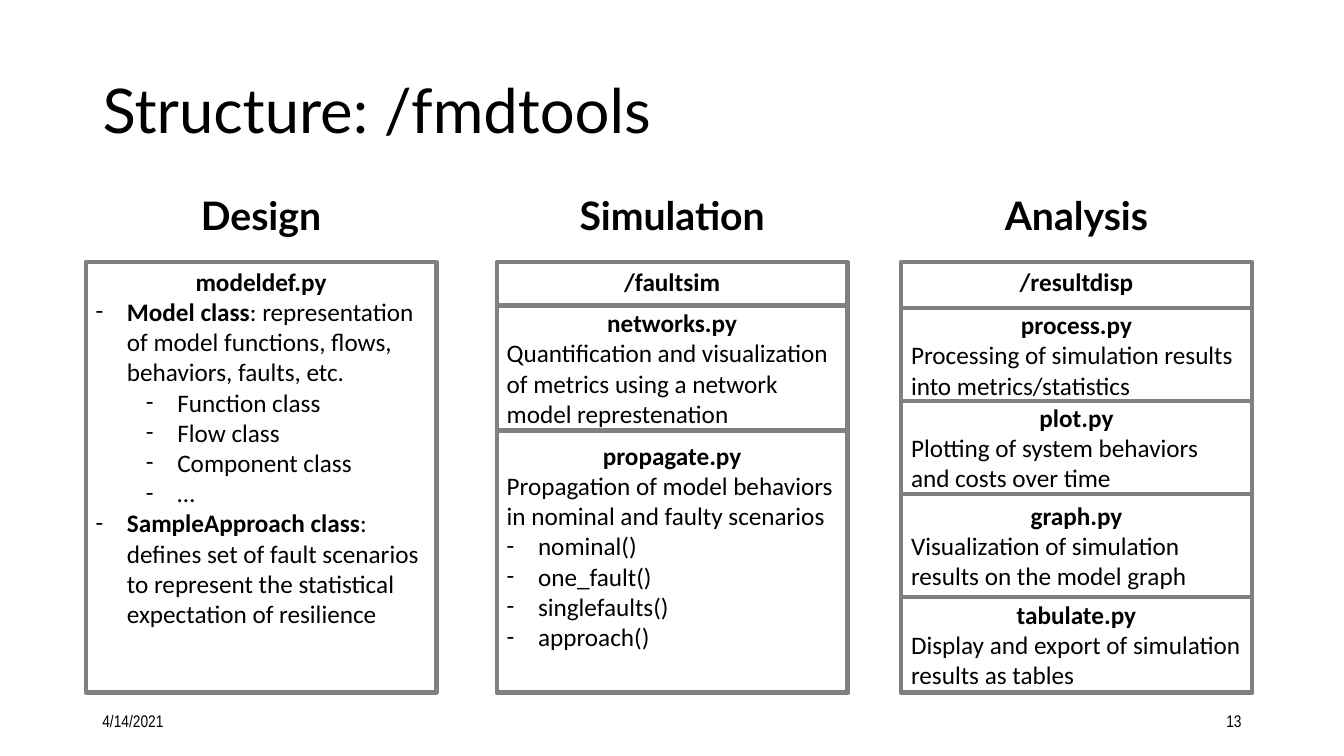
"""Build the slide that shows the package structure in three columns."""
import pptx
import pptx.dml.color
import pptx.enum.shapes
import pptx.enum.text
import pptx.oxml.ns
import pptx.util
from lxml import etree

Cm, Pt = pptx.util.Cm, pptx.util.Pt
ALIGN, ANCHOR = pptx.enum.text.PP_ALIGN, pptx.enum.text.MSO_ANCHOR
BLACK = pptx.dml.color.RGBColor(0, 0, 0)
WHITE = pptx.dml.color.RGBColor(255, 255, 255)
GRAY = pptx.dml.color.RGBColor(128, 128, 128)

TITLE = "Structure: /fmdtools"
DATE, NUMBER = "4/14/2021", "13"

# Each line is (style, bold text, regular text).
HEAD, BODY, ITEM, SUBITEM = "head", "body", "item", "subitem"
COLUMNS = [
    {"name": "Design", "left": 2.16, "lines": [
        (HEAD, "modeldef.py", ""),
        (ITEM, "Model class", ": representation of model functions, flows, behaviors, faults, etc."),
        (SUBITEM, "", "Function class"),
        (SUBITEM, "", "Flow class"),
        (SUBITEM, "", "Component class"),
        (SUBITEM, "", "…"),
        (ITEM, "SampleApproach class",
         ": defines set of fault scenarios to represent the statistical expectation of resilience"),
    ], "cards": []},
    {"name": "Simulation", "left": 12.52, "lines": [(HEAD, "/faultsim", "")], "cards": [
        (3.15, None, [
            (HEAD, "networks.py", ""),
            (BODY, "", "Quantification and visualization of metrics using a network model represtenation")]),
        (6.6, 0.24, [
            (HEAD, "propagate.py", ""),
            (BODY, "", "Propagation of model behaviors in nominal and faulty scenarios"),
            (ITEM, "", "nominal()"),
            (ITEM, "", "one_fault()"),
            (ITEM, "", "singlefaults()"),
            (ITEM, "", "approach()")]),
    ]},
    {"name": "Analysis", "left": 22.71, "lines": [(HEAD, "/resultdisp", "")], "cards": [
        (2.34, None, [
            (HEAD, "process.py", ""),
            (BODY, "", "Processing of simulation results into metrics/statistics")]),
        (2.34, None, [
            (HEAD, "plot.py", ""),
            (BODY, "", "Plotting of system behaviors and costs over time")]),
        (2.59, None, [
            (HEAD, "graph.py", ""),
            (BODY, "", "Visualization of simulation results on the model graph")]),
        (2.41, None, [
            (HEAD, "tabulate.py", ""),
            (BODY, "", "Display and export of simulation results as tables")]),
    ]},
]
COLUMN_TOP, COLUMN_WIDTH, COLUMN_HEIGHT = 6.6, 8.84, 10.85
COLUMN_INSET = 0.1
NAME_TOP, NAME_WIDTH, NAME_HEIGHT = 4.7, 6.25, 1.45
INDENTS = {ITEM: 0.79, SUBITEM: 2.06}
HANGING = 0.79


def set_all(target, values):
    """Set every attribute in a dict of format values."""
    for name, value in values.items():
        setattr(target, name, value)


def add_span(para, text, font, size, bold=False):
    """Add one formatted piece of text."""
    span = para.add_run()
    span.text = text
    set_all(span.font, {"name": font, "size": Pt(size), "bold": bold})
    span.font.color.rgb = BLACK


def add_hyphen(para, indent):
    """Give a paragraph a hanging hyphen bullet."""
    properties = para._p.get_or_add_pPr()
    properties.set("marL", str(int(Cm(indent))))
    properties.set("indent", str(-int(Cm(HANGING))))
    for tag, key, value in (("a:buFont", "typeface", "Calibri"), ("a:buChar", "char", "-")):
        etree.SubElement(properties, pptx.oxml.ns.qn(tag)).set(key, value)


def add_label(page, text, place, font, size, align, anchor, bold=False):
    """Add a text box with one line."""
    frame = page.shapes.add_textbox(*map(Cm, place)).text_frame
    set_all(frame, {"word_wrap": True, "vertical_anchor": anchor})
    para = frame.paragraphs[0]
    para.alignment = align
    add_span(para, text, font, size, bold)


def add_card(page, place, lines, inset=None):
    """Add a framed box; an inset places its text from the top, else it is centred."""
    kind = pptx.enum.shapes.MSO_SHAPE.FLOWCHART_PROCESS
    box = page.shapes.add_shape(kind, *map(Cm, place))
    box.shadow.inherit = False
    box.fill.solid()
    box.fill.fore_color.rgb = WHITE
    box.line.color.rgb = GRAY
    box.line.width = Pt(3)
    frame = box.text_frame
    set_all(frame, {"word_wrap": True, "vertical_anchor": ANCHOR.MIDDLE})
    if inset is not None:
        set_all(frame, {"vertical_anchor": ANCHOR.TOP, "margin_top": Cm(inset)})
    for index, (style, strong, plain) in enumerate(lines):
        para = frame.add_paragraph() if index else frame.paragraphs[0]
        set_all(para, {"alignment": ALIGN.CENTER if style == HEAD else ALIGN.LEFT,
                       "level": 1 if style == SUBITEM else 0})
        if style in INDENTS:
            add_hyphen(para, INDENTS[style])
        for text, bold in ((strong, True), (plain, False)):
            if text:
                add_span(para, text, "Calibri", 18, bold)


def add_column(page, column):
    """Add a column name, its frame and the cards stacked down to its bottom."""
    left = column["left"]
    name_left = left + (COLUMN_WIDTH - NAME_WIDTH) / 2
    add_label(page, column["name"], (name_left, NAME_TOP, NAME_WIDTH, NAME_HEIGHT),
              "Lato", 28, ALIGN.CENTER, ANCHOR.TOP, True)
    add_card(page, (left, COLUMN_TOP, COLUMN_WIDTH, COLUMN_HEIGHT), column["lines"], COLUMN_INSET)
    top = COLUMN_TOP + COLUMN_HEIGHT - sum(card[0] for card in column["cards"])
    for height, inset, lines in column["cards"]:
        add_card(page, (left, top, COLUMN_WIDTH, height), lines, inset)
        top += height


def main():
    """Build and save the deck."""
    deck = pptx.Presentation()
    set_all(deck, {"slide_width": Cm(33.87), "slide_height": Cm(19.05)})
    page = deck.slides.add_slide(deck.slide_layouts[5])
    title = page.shapes.title
    set_all(title, {"left": Cm(2.33), "top": Cm(1.01), "width": Cm(29.21), "height": Cm(3.68)})
    set_all(title.text_frame, {"vertical_anchor": ANCHOR.MIDDLE, "word_wrap": True,
                               "auto_size": pptx.enum.text.MSO_AUTO_SIZE.NONE})
    para = title.text_frame.paragraphs[0]
    set_all(para, {"alignment": ALIGN.LEFT, "line_spacing": 0.9})
    add_span(para, TITLE, "Lato", 44)
    for column in COLUMNS:
        add_column(page, column)
    for text, left, align in ((DATE, 2.33, ALIGN.LEFT), (NUMBER, 23.92, ALIGN.RIGHT)):
        add_label(page, text, (left, 17.65, 7.62, 1.01), "Arial Narrow", 12, align, ANCHOR.MIDDLE)
    deck.save("out.pptx")


if __name__ == "__main__":
    main()
